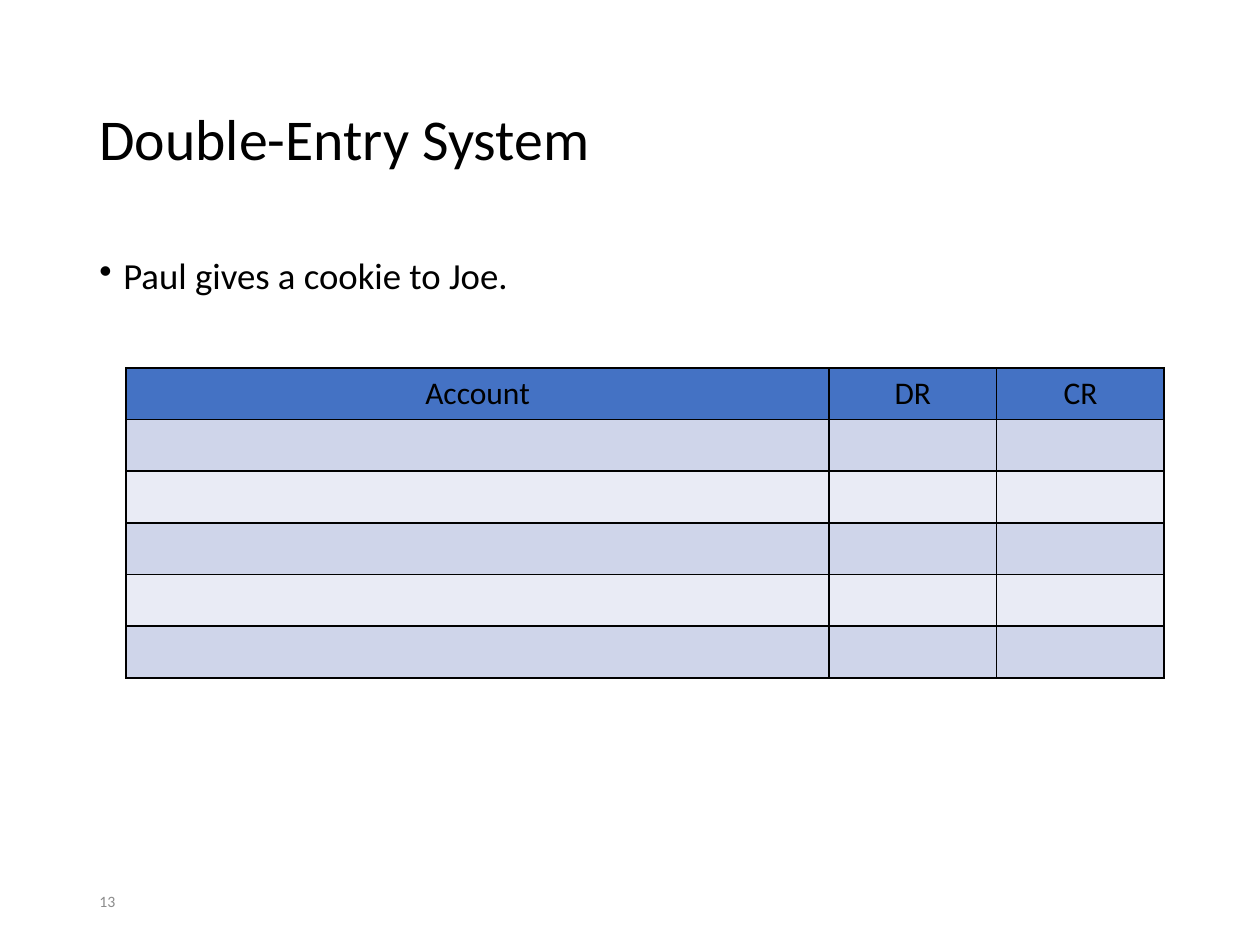
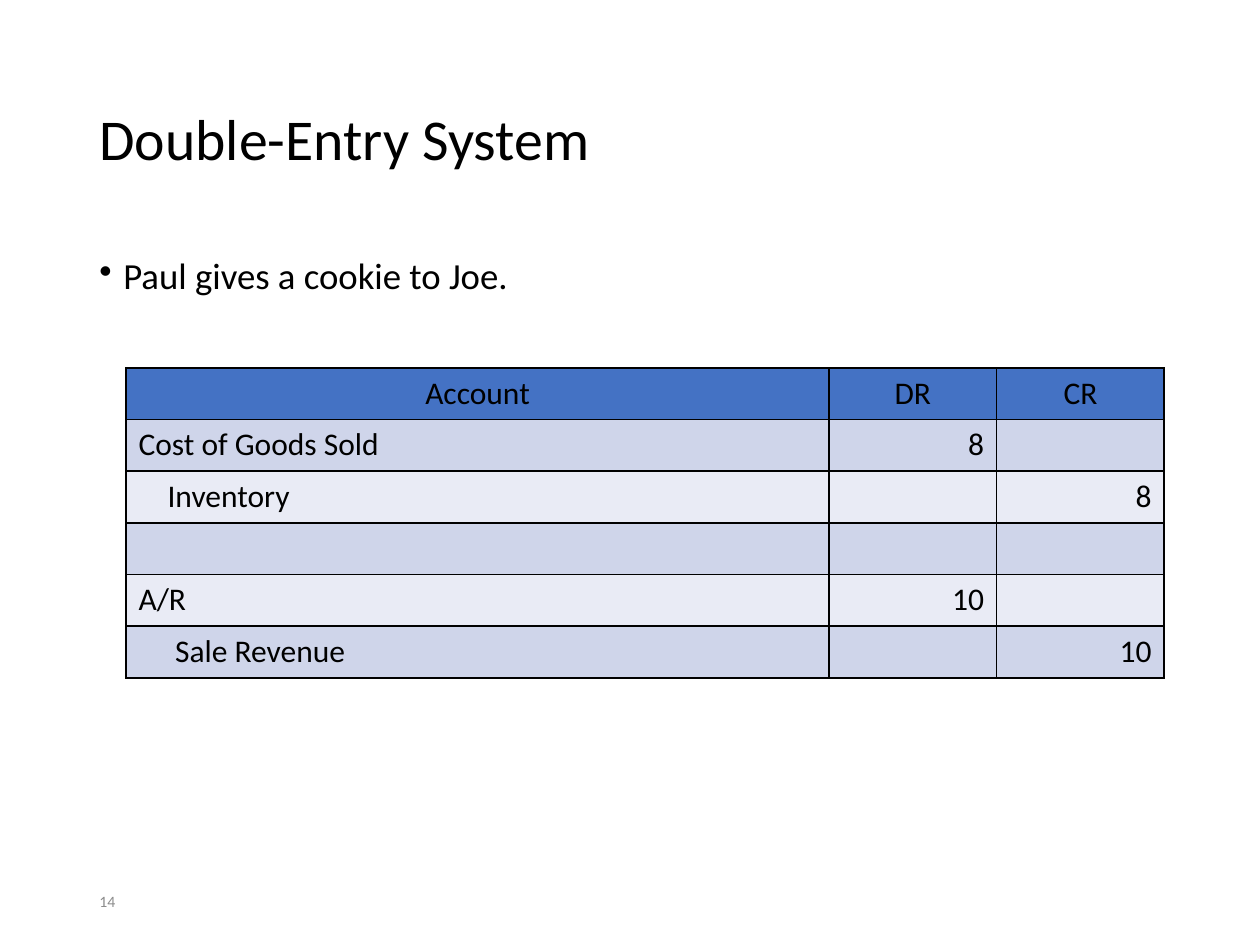
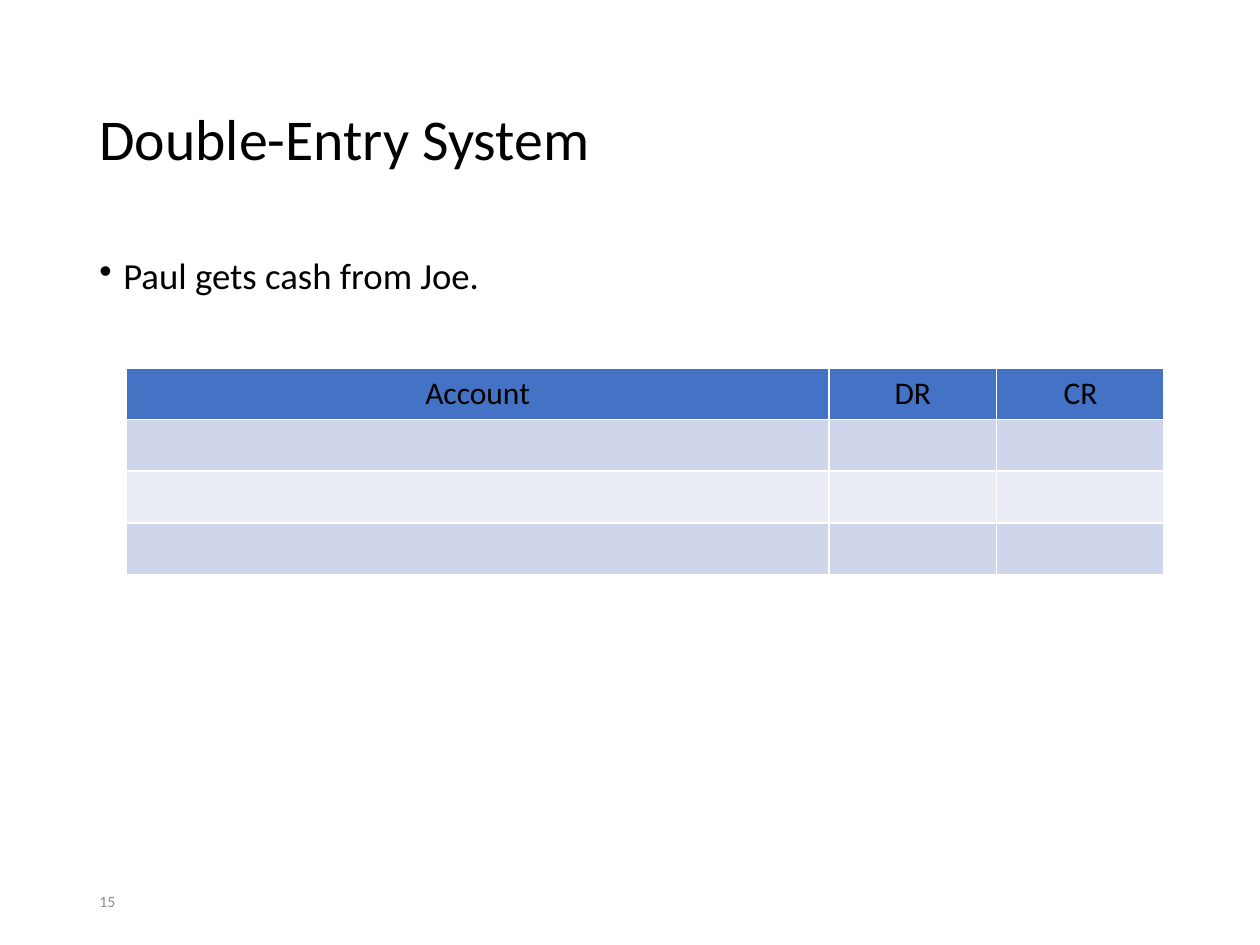
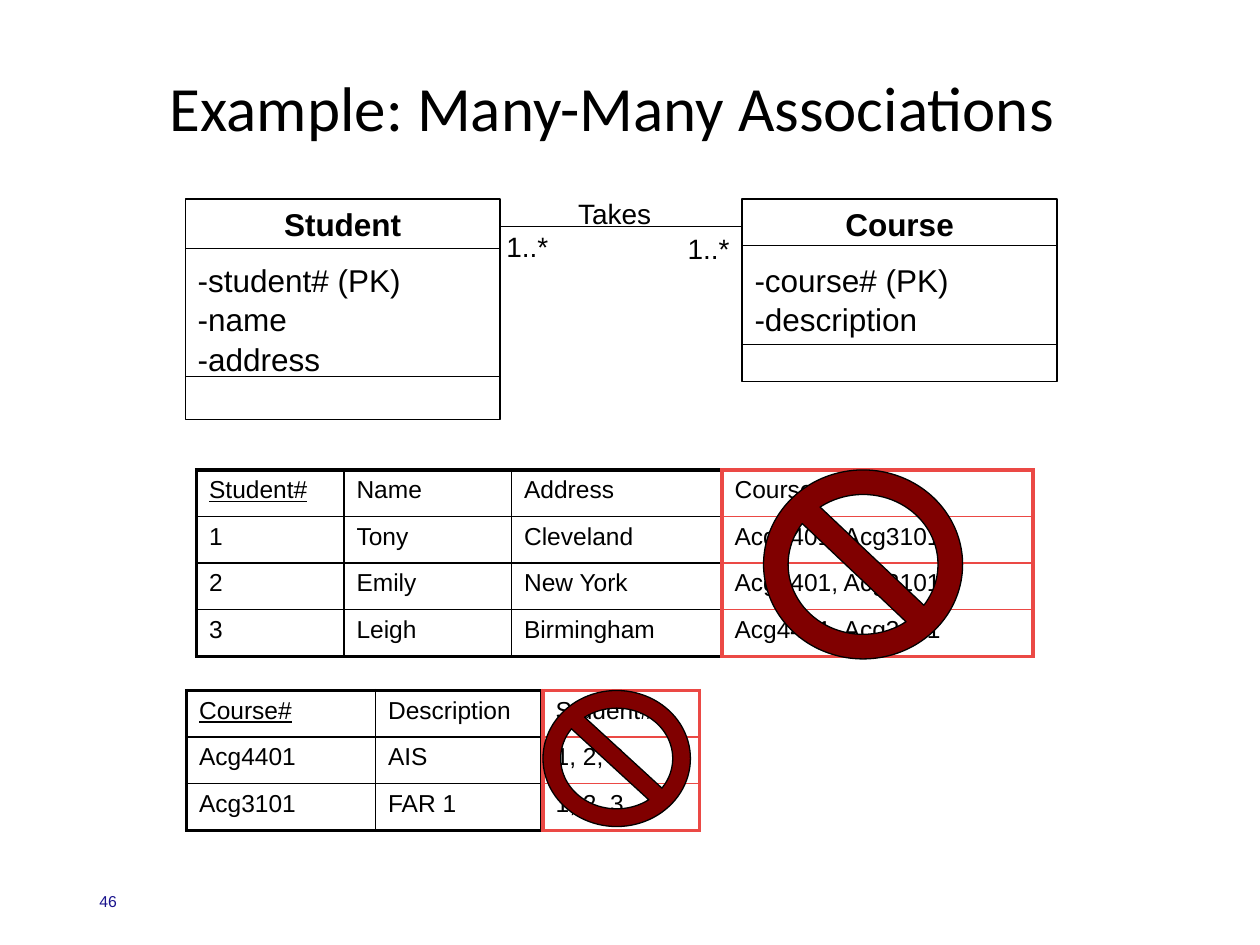
from dataclasses import dataclass

from lxml import etree
from pptx import Presentation
from pptx.dml.color import RGBColor
from pptx.enum.shapes import MSO_CONNECTOR, MSO_SHAPE
from pptx.enum.text import MSO_ANCHOR, PP_ALIGN
from pptx.oxml.ns import qn
from pptx.util import Inches, Pt

LEFT, CENTER, RIGHT = PP_ALIGN.LEFT, PP_ALIGN.CENTER, PP_ALIGN.RIGHT
TOP, MIDDLE = MSO_ANCHOR.TOP, MSO_ANCHOR.MIDDLE
RECT, BAN = MSO_SHAPE.RECTANGLE, MSO_SHAPE.NO_SYMBOL
STRAIGHT = MSO_CONNECTOR.STRAIGHT


@dataclass(frozen=True)
class Theme:
    """Colours, fonts and type sizes of the deck."""
    sans: str = "Calibri"
    plain: str = "Arial"
    ink: str = "000000"
    white: str = "FFFFFF"
    head: str = "4472C4"
    bands: tuple = ("CFD5EA", "E9EBF5")
    grey: str = "8C8C8C"
    navy: str = "19138D"
    red: str = "EB4945"
    ban: str = "800000"
    title: int = 33
    large: int = 36
    body: int = 21
    cell: int = 18
    label: int = 16
    data: int = 14
    foot: int = 9


THEME = Theme()
LEDGER_COLS = (5.58, 1.33, 1.33)
LEDGER_HEAD = ("Account", "DR", "CR")
SALE = [("Cost of Goods Sold", "8", ""), ("Inventory", "", "8"), ("", "", ""),
        ("A/R", "10", ""), ("Sale Revenue", "", "10")]
INDENTS = {"Inventory": 0.23, "Sale Revenue": 0.29}
STUDENTS = [("Student#", "Name", "Address"), ("1", "Tony", "Cleveland"),
            ("2", "Emily", "New York"), ("3", "Leigh", "Birmingham")]
COURSES = [("Course#", "Description"), ("Acg4401", "AIS"), ("Acg3101", "FAR 1")]
TAKEN = [("Course# *",)] + [("Acg4401, Acg3101",)] * 3
TAKERS = [("Student#*",)] + [("1, 2, 3",)] * 2


def rgb(code):
    """Turn a hex code into a colour."""
    return RGBColor.from_string(code)


def style(para, size, face, color=THEME.ink, align=LEFT, bold=False):
    """Set the font and alignment of a paragraph."""
    para.alignment = align
    font = para.font
    font.size, font.name, font.bold = Pt(size), face, bold
    font.color.rgb = rgb(color)


def add_text(slide, box, text, size, face, color=THEME.ink, anchor=TOP):
    """Add a one-paragraph text box and return its paragraph."""
    frame = slide.shapes.add_textbox(*map(Inches, box)).text_frame
    frame.word_wrap = True
    frame.vertical_anchor = anchor
    para = frame.paragraphs[0]
    para.text = text
    style(para, size, face, color)
    return para


def add_title(slide, text, box, size):
    """Add the slide title."""
    para = add_text(slide, box, text, size, THEME.sans, anchor=MIDDLE)
    para.line_spacing = 0.9


def add_foot(slide, number, face=THEME.sans, color=THEME.grey):
    """Add the slide number."""
    add_text(slide, (0.69, 6.95, 2.25, 0.4), str(number), THEME.foot,
             face, color, MIDDLE)


def add_bullet(slide, text):
    """Add the bulleted statement."""
    para = add_text(slide, (0.69, 2, 8.62, 4.76), text, THEME.body, THEME.sans)
    para.line_spacing = 0.9
    props = para._p.get_or_add_pPr()
    props.set("marL", str(Inches(0.19)))
    props.set("indent", str(-Inches(0.19)))
    mark = etree.Element(qn("a:buChar"), char="•")
    props.insert_element_before(mark, "a:tabLst", "a:defRPr", "a:extLst")


def add_edge(cell, side, color, width):
    """Draw one border of a cell."""
    edge = etree.SubElement(cell._tc.get_or_add_tcPr(), qn("a:ln" + side),
                            w=str(Pt(width)))
    fill = etree.SubElement(edge, qn("a:solidFill"))
    etree.SubElement(fill, qn("a:srgbClr"), val=color)


def add_grid(slide, left, top, cols, rows, high, color, rim=1):
    """Add a bordered table and yield its cells with their places."""
    frame = slide.shapes.add_table(len(rows), len(cols), Inches(left), Inches(top),
                                   Inches(sum(cols)), Inches(high * len(rows)))
    table = frame.table
    table.first_row = table.horz_banding = False
    for col, wide in zip(table.columns, cols):
        col.width = Inches(wide)
    for r, row in enumerate(rows):
        table.rows[r].height = Inches(high)
        for c, text in enumerate(row):
            cell = table.cell(r, c)
            cell.text = text
            outer = {"L": c == 0, "R": c == len(cols) - 1,
                     "T": r == 0, "B": r == len(rows) - 1}
            for side, edge in outer.items():
                add_edge(cell, side, color, rim if edge else 1)
            yield r, c, cell


def add_ledger(slide, rows, color):
    """Add a banded journal table."""
    for r, c, cell in add_grid(slide, 1, 2.92, LEDGER_COLS, [LEDGER_HEAD, *rows],
                               0.41, color):
        cell.fill.solid()
        cell.fill.fore_color.rgb = rgb(THEME.bands[(r - 1) % 2] if r else THEME.head)
        para = cell.text_frame.paragraphs[0]
        align = CENTER if r == 0 else RIGHT if c else LEFT
        style(para, THEME.cell, THEME.sans, align=align)
        if cell.text in INDENTS:
            para._p.get_or_add_pPr().set("marL", str(Inches(INDENTS[cell.text])))


def add_data(slide, left, top, cols, rows, key=True):
    """Add a data table, black with a key or red and filled without."""
    color = THEME.ink if key else THEME.red
    for r, c, cell in add_grid(slide, left, top, cols, rows, 0.37, color, 2.25):
        if key:
            cell.fill.background()
        else:
            cell.fill.solid()
            cell.fill.fore_color.rgb = rgb(THEME.white)
        para = cell.text_frame.paragraphs[0]
        style(para, THEME.data, THEME.plain)
        para.font.underline = key and r == c == 0


def add_shape(slide, kind, box):
    """Add a preset shape with a thin black outline."""
    shape = slide.shapes.add_shape(kind, *map(Inches, box))
    shape.shadow.inherit = False
    shape.line.color.rgb = rgb(THEME.ink)
    shape.line.width = Pt(0.75)
    return shape


def add_ban(slide, box):
    """Add a prohibition sign."""
    sign = add_shape(slide, BAN, box)
    sign.adjustments[0] = 0.13
    sign.fill.solid()
    sign.fill.fore_color.rgb = rgb(THEME.ban)


def add_rule(slide, left, right, y):
    """Add a thin horizontal line."""
    line = slide.shapes.add_connector(STRAIGHT, *map(Inches, (left, y, right, y)))
    line.line.color.rgb = rgb(THEME.ink)
    line.line.width = Pt(0.5)
    etree.SubElement(line._element.spPr, qn("a:effectLst"))


def add_class(slide, left, high, name, fields, rules):
    """Add a class box with its name, fields and dividers."""
    top, wide = 1.58, 2.5
    box = add_shape(slide, RECT, (left, top, wide, high))
    box.fill.background()
    frame = box.text_frame
    frame.word_wrap = True
    frame.vertical_anchor = TOP
    para = frame.paragraphs[0]
    para.text = name
    style(para, THEME.cell, THEME.plain, align=CENTER, bold=True)
    for i, field in enumerate(fields):
        para = frame.add_paragraph()
        para.text = field
        para.space_before = Pt(1 if i else 10)
        style(para, THEME.cell, THEME.plain)
    for y in rules:
        add_rule(slide, left, left + wide, y)


def add_entry(slide, number, text, rows, color):
    """Build a double-entry slide."""
    add_title(slide, "Double-Entry System", (0.69, 0.4, 8.62, 1.45), THEME.title)
    add_bullet(slide, text)
    add_foot(slide, number)
    add_ledger(slide, rows, color)


def add_links(slide):
    """Build the many-many slide."""
    add_foot(slide, 46, THEME.plain, THEME.navy)
    add_title(slide, "Example: Many-Many Associations", (1.25, 0.42, 8.25, 0.92),
              THEME.large)
    add_data(slide, 1.56, 3.73, (1.17, 1.33, 1.67), STUDENTS)
    add_data(slide, 1.48, 5.48, (1.5, 1.32), COURSES)
    add_data(slide, 5.73, 3.73, (2.47,), TAKEN, key=False)
    add_data(slide, 4.31, 5.48, (1.24,), TAKERS, key=False)
    add_ban(slide, (6.06, 3.73, 1.58, 1.5))
    add_ban(slide, (4.31, 5.48, 1.17, 1.08))
    add_class(slide, 1.47, 1.75, "Student",
              ("-student# (PK)", "-name", "-address"), (1.97, 2.99))
    add_class(slide, 5.89, 1.45, "Course",
              ("-course# (PK)", "-description"), (1.95, 2.73))
    add_rule(slide, 3.97, 5.89, 1.8)
    for text, x, y, wide in (("1..*", 3.92, 1.77, 0.77), ("1..*", 5.36, 1.79, 0.77),
                             ("Takes", 4.49, 1.51, 0.88)):
        add_text(slide, (x, y, wide, 0.37), text, THEME.label, THEME.plain)


def main():
    """Build and save the deck."""
    deck = Presentation()
    deck.slide_width, deck.slide_height = Inches(10), Inches(7.5)
    blank = deck.slide_layouts[6]
    gives, gets = "Paul gives a cookie to Joe.", "Paul gets cash from Joe."
    empty = ("",) * len(LEDGER_COLS)
    entries = ((gives, [empty] * 5, THEME.ink), (gives, SALE, THEME.ink),
               (gets, [empty] * 3, THEME.white))
    for number, entry in enumerate(entries, 13):
        add_entry(deck.slides.add_slide(blank), number, *entry)
    add_links(deck.slides.add_slide(blank))
    deck.save("out.pptx")


if __name__ == "__main__":
    main()
